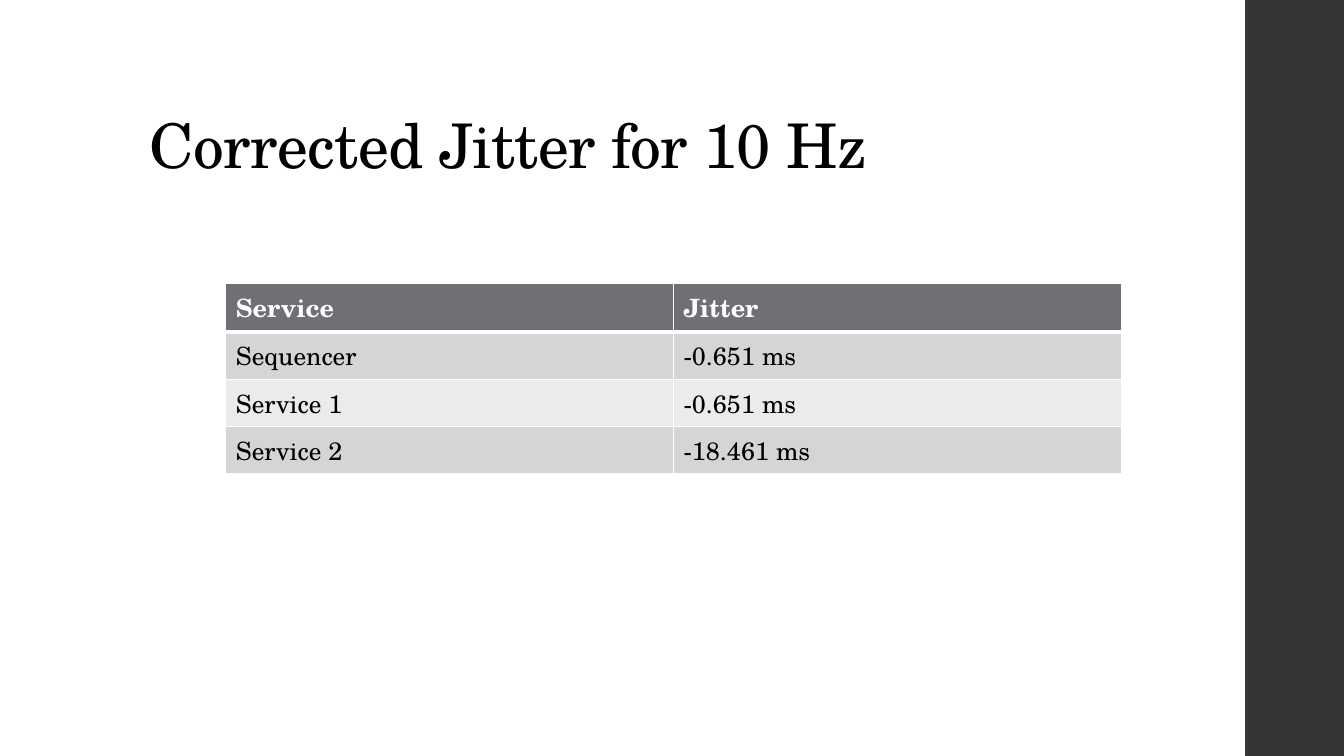
from dataclasses import dataclass

from lxml.etree import SubElement
from pptx import Presentation
from pptx.dml.color import RGBColor
from pptx.enum.shapes import MSO_SHAPE
from pptx.enum.text import MSO_ANCHOR, MSO_AUTO_SIZE, PP_ALIGN
from pptx.oxml.ns import qn
from pptx.util import Inches, Pt

HEADING = "Corrected Jitter for 10 Hz"
JITTER_ROWS = [
    ("Service", "Jitter"),
    ("Sequencer", "-0.651 ms"),
    ("Service 1", "-0.651 ms"),
    ("Service 2", "-18.461 ms"),
]


@dataclass(frozen=True)
class Theme:
    font: str = "TeX Gyre Schola"
    heading_size: float = 44
    table_size: float = 18
    ink: str = "000000"
    paper: str = "FFFFFF"
    side_band: str = "353537"
    header_fill: str = "6F6F74"
    row_fills: tuple = ("D5D5D6", "EBEBEB")


THEME = Theme()
SLIDE_WIDTH, SLIDE_HEIGHT = 13.33, 7.5
BAND_LEFT = 12.35
HEADING_BOX = (1.38, 0.4, 10.6, 1.45)
TABLE_LEFT, TABLE_TOP = 2.24, 2.81
COLUMN_WIDTH, ROW_HEIGHT = 4.44, 0.41


def color(value):
    return RGBColor.from_string(value)


def write(paragraph, wording, size, ink, bold=False):
    run = paragraph.add_run()
    run.text = wording
    run.font.name = THEME.font
    run.font.size = Pt(size)
    run.font.bold = bold
    run.font.color.rgb = color(ink)
    return run


def add_side_band(slide):
    band = slide.shapes.add_shape(
        MSO_SHAPE.RECTANGLE, Inches(BAND_LEFT), 0,
        Inches(SLIDE_WIDTH - BAND_LEFT), Inches(SLIDE_HEIGHT),
    )
    band.shadow.inherit = False
    band.fill.solid()
    band.fill.fore_color.rgb = color(THEME.side_band)
    band.line.fill.background()


def add_heading(slide):
    heading = slide.shapes.title
    heading.left, heading.top, heading.width, heading.height = map(Inches, HEADING_BOX)
    frame = heading.text_frame
    frame.auto_size = MSO_AUTO_SIZE.NONE
    frame.word_wrap = True
    frame.vertical_anchor = MSO_ANCHOR.BOTTOM
    paragraph = frame.paragraphs[0]
    paragraph.alignment = PP_ALIGN.LEFT
    paragraph.line_spacing = 0.9
    run = write(paragraph, HEADING, THEME.heading_size, THEME.ink)
    run.font._element.set("spc", "-50")


def add_borders(cell, bottom_width):
    properties = cell._tc.get_or_add_tcPr()
    widths = {"a:lnL": 1, "a:lnR": 1, "a:lnT": 1, "a:lnB": bottom_width}
    for side, width in widths.items():
        border = SubElement(properties, qn(side), w=str(Pt(width)))
        fill = SubElement(border, qn("a:solidFill"))
        SubElement(fill, qn("a:srgbClr"), val=THEME.paper)


def add_jitter_table(slide):
    row_count, column_count = len(JITTER_ROWS), len(JITTER_ROWS[0])
    table = slide.shapes.add_table(
        row_count, column_count, Inches(TABLE_LEFT), Inches(TABLE_TOP),
        Inches(COLUMN_WIDTH * column_count), Inches(ROW_HEIGHT * row_count),
    ).table
    for row_index, entries in enumerate(JITTER_ROWS):
        is_header = row_index == 0
        row_fill = THEME.header_fill if is_header else THEME.row_fills[(row_index - 1) % 2]
        ink = THEME.paper if is_header else THEME.ink
        for column_index, entry in enumerate(entries):
            cell = table.cell(row_index, column_index)
            add_borders(cell, 3 if is_header else 1)
            cell.fill.solid()
            cell.fill.fore_color.rgb = color(row_fill)
            write(cell.text_frame.paragraphs[0], entry, THEME.table_size, ink, is_header)


def main():
    presentation = Presentation()
    presentation.slide_width = Inches(SLIDE_WIDTH)
    presentation.slide_height = Inches(SLIDE_HEIGHT)
    slide = presentation.slides.add_slide(presentation.slide_layouts[5])
    slide.background.fill.solid()
    slide.background.fill.fore_color.rgb = color(THEME.paper)
    add_side_band(slide)
    add_heading(slide)
    add_jitter_table(slide)
    presentation.save("out.pptx")


if __name__ == "__main__":
    main()
